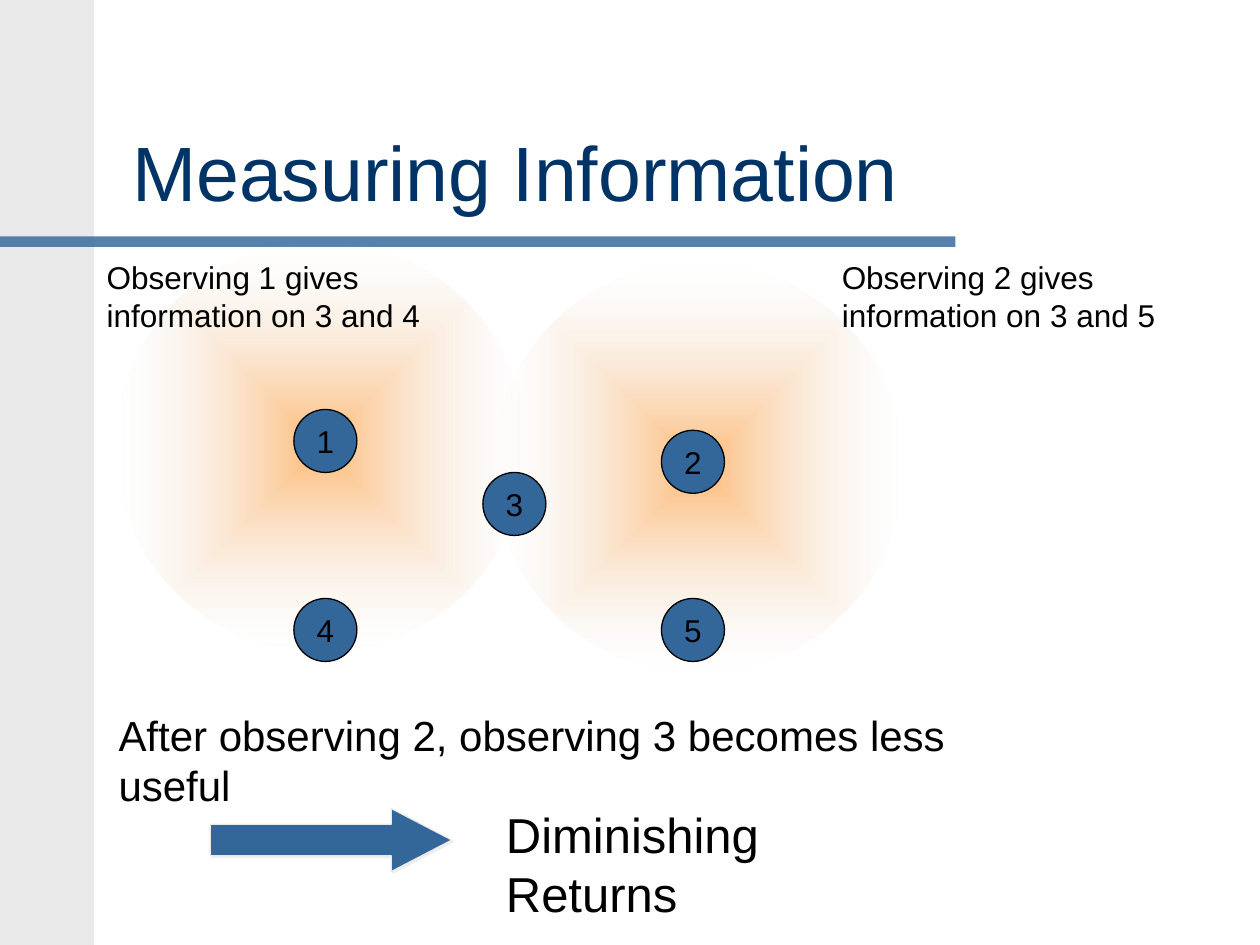
from typing import NamedTuple

from lxml.etree import SubElement
from pptx import Presentation
from pptx.dml.color import RGBColor
from pptx.enum.shapes import MSO_CONNECTOR, MSO_SHAPE
from pptx.enum.text import MSO_ANCHOR as ANCHOR
from pptx.enum.text import MSO_AUTO_SIZE as AUTO_SIZE
from pptx.enum.text import PP_ALIGN as ALIGN
from pptx.oxml import parse_xml
from pptx.oxml.ns import nsdecls, qn
from pptx.util import Cm, Pt

FONT = "Arial"
BLUE, NAVY, GRAY, ORANGE, BLACK = "336699", "003366", "EAEAEA", "FF9933", "000000"
NODE_SIZE = 1.27
HALO_SIZE = 8.26


class Node(NamedTuple):
    label: str
    x: float  # centre, in cm
    y: float


class Caption(NamedTuple):
    text: str
    left: float
    top: float
    width: float
    height: float
    size: int
    wrap: bool


HALO_CENTRES = [(6.46, 9.0), (14.08, 9.42)]

NODES = [
    Node("1", 6.56, 8.89),
    Node("4", 6.56, 12.7),
    Node("3", 10.37, 10.16),
    Node("5", 13.97, 12.7),
    Node("2", 13.97, 9.31),
]

CAPTIONS = [
    Caption("Observing 1 gives information on 3 and 4", 1.9, 5.08, 8.26, 1.78, 18, True),
    Caption("Observing 2 gives information on 3 and 5", 16.72, 5.08, 7.83, 1.78, 18, True),
    Caption("After observing 2, observing 3 becomes less useful", 2.14, 14.18, 19.65, 1.28, 24, False),
    Caption("Diminishing Returns", 9.95, 16.09, 9.31, 1.45, 28, False),
]


def color(hex_value: str) -> RGBColor:
    return RGBColor.from_string(hex_value)


def format_text(text_frame, text: str, size: int, hex_value: str, align=ALIGN.LEFT) -> None:
    text_frame.text = text
    paragraph = text_frame.paragraphs[0]
    paragraph.alignment = align
    font = paragraph.runs[0].font
    font.name, font.size = FONT, Pt(size)
    font.color.rgb = color(hex_value)


def add_filled(slide, kind, left: float, top: float, width: float, height: float,
               fill: str, line: str | None = None):
    shape = slide.shapes.add_shape(kind, Cm(left), Cm(top), Cm(width), Cm(height))
    shape.shadow.inherit = False
    shape.fill.solid()
    shape.fill.fore_color.rgb = color(fill)
    if line:
        shape.line.color.rgb = color(line)
        shape.line.width = Pt(0.75)
    else:
        shape.line.fill.background()
    return shape


def add_circle(slide, x: float, y: float, size: float, fill: str, line: str | None = None):
    return add_filled(slide, MSO_SHAPE.OVAL, x - size / 2, y - size / 2, size, size, fill, line)


def add_halo(slide, x: float, y: float) -> None:
    """Circle that fades from orange at its centre to clear at its rim."""
    shape = add_circle(slide, x, y, HALO_SIZE, ORANGE)
    gradient = parse_xml(
        f'<a:gradFill {nsdecls("a")} rotWithShape="1"><a:gsLst>'
        f'<a:gs pos="0"><a:srgbClr val="{ORANGE}"><a:alpha val="67000"/></a:srgbClr></a:gs>'
        f'<a:gs pos="100000"><a:srgbClr val="{GRAY}"><a:alpha val="0"/></a:srgbClr></a:gs>'
        '</a:gsLst><a:path path="rect">'
        '<a:fillToRect l="50000" t="50000" r="50000" b="50000"/></a:path></a:gradFill>')
    properties = shape.element.spPr
    properties.replace(properties.find(qn("a:solidFill")), gradient)


def add_node(slide, node: Node) -> None:
    shape = add_circle(slide, node.x, node.y, NODE_SIZE, BLUE, BLACK)
    text_frame = shape.text_frame
    text_frame.word_wrap = False
    text_frame.vertical_anchor = ANCHOR.MIDDLE
    format_text(text_frame, node.label, 18, BLACK, ALIGN.CENTER)


def add_caption(slide, caption: Caption) -> None:
    box = slide.shapes.add_textbox(Cm(caption.left), Cm(caption.top),
                                   Cm(caption.width), Cm(caption.height))
    box.text_frame.word_wrap = caption.wrap
    box.text_frame.auto_size = AUTO_SIZE.SHAPE_TO_FIT_TEXT
    format_text(box.text_frame, caption.text, caption.size, BLACK)


def add_title_rule(slide) -> None:
    rule = slide.shapes.add_connector(MSO_CONNECTOR.STRAIGHT, 0, Cm(4.87), Cm(19.26), Cm(4.87))
    rule.line.color.rgb = color(BLUE)
    rule.line.width = Pt(6)
    properties = rule.element.spPr
    line_color = next(properties.iter(qn("a:srgbClr")))
    SubElement(line_color, qn("a:alpha")).set("val", "82000")
    SubElement(properties, qn("a:effectLst"))


def add_arrow(slide) -> None:
    arrow = add_filled(slide, MSO_SHAPE.RIGHT_ARROW, 4.24, 16.3, 4.87, 1.27, BLUE, GRAY)
    arrow.adjustments[0] = 0.5
    arrow.adjustments[1] = 0.96
    effects = arrow.element.spPr.find(qn("a:effectLst"))
    effects.append(parse_xml(
        f'<a:outerShdw {nsdecls("a")} dist="{Pt(1.4)}" dir="2700000" algn="ctr" rotWithShape="0">'
        f'<a:srgbClr val="{GRAY}"><a:alpha val="75000"/></a:srgbClr></a:outerShdw>'))


def set_title(slide, text: str) -> None:
    title = slide.shapes.title
    title.left, title.top, title.width, title.height = Cm(2.41), Cm(1.47), Cm(22.68), Cm(3.02)
    title.text_frame.vertical_anchor = ANCHOR.BOTTOM
    title.text_frame.auto_size = AUTO_SIZE.NONE
    format_text(title.text_frame, text, 44, NAVY)


def main() -> None:
    presentation = Presentation()
    presentation.slide_width, presentation.slide_height = Cm(25.4), Cm(19.05)
    slide = presentation.slides.add_slide(presentation.slide_layouts[5])

    set_title(slide, "Measuring Information")
    add_filled(slide, MSO_SHAPE.RECTANGLE, 0, 0, 1.9, 19.05, GRAY)
    add_title_rule(slide)
    for x, y in HALO_CENTRES:
        add_halo(slide, x, y)
    for node in NODES:
        add_node(slide, node)
    for caption in CAPTIONS:
        add_caption(slide, caption)
    add_arrow(slide)

    presentation.save("out.pptx")


if __name__ == "__main__":
    main()
